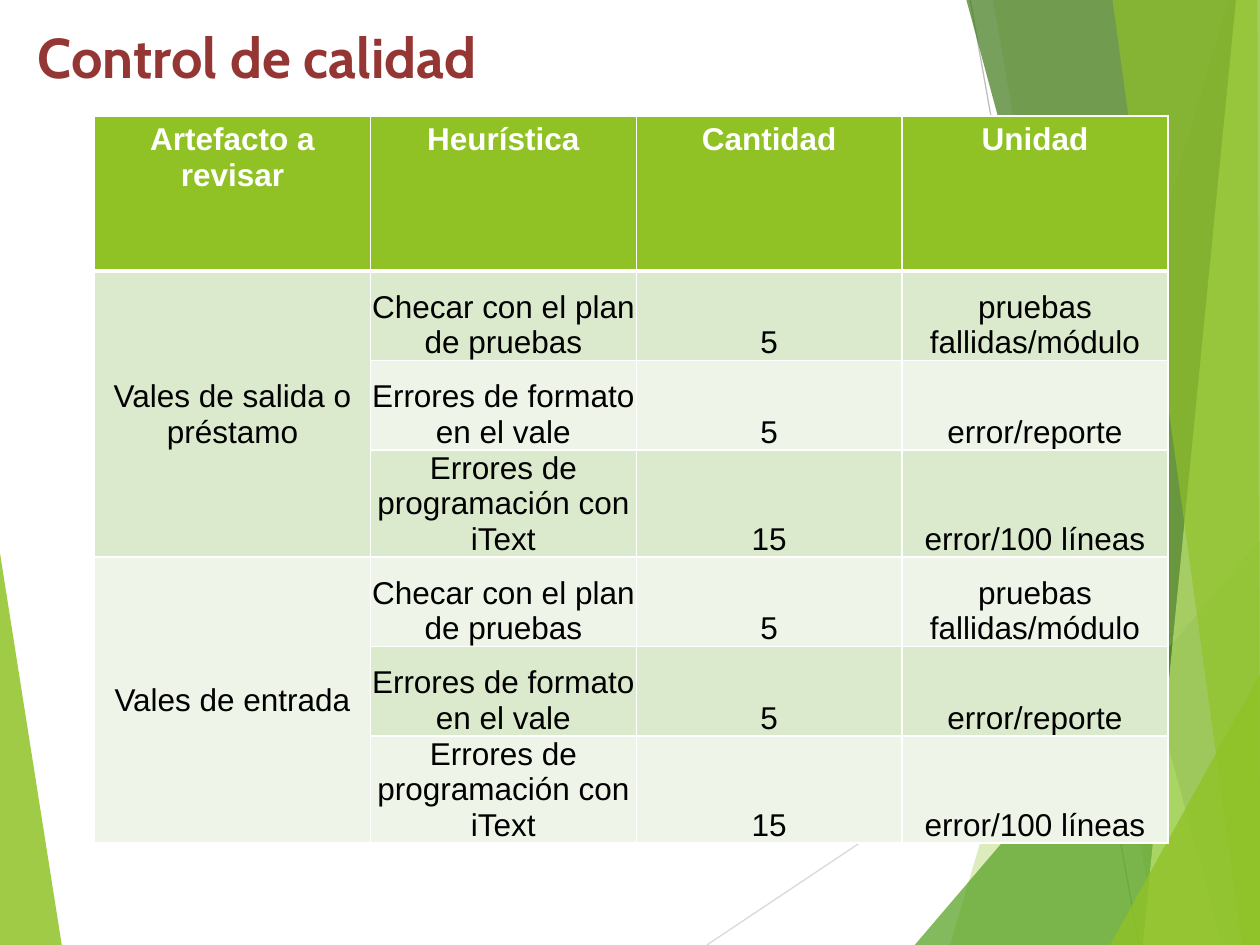
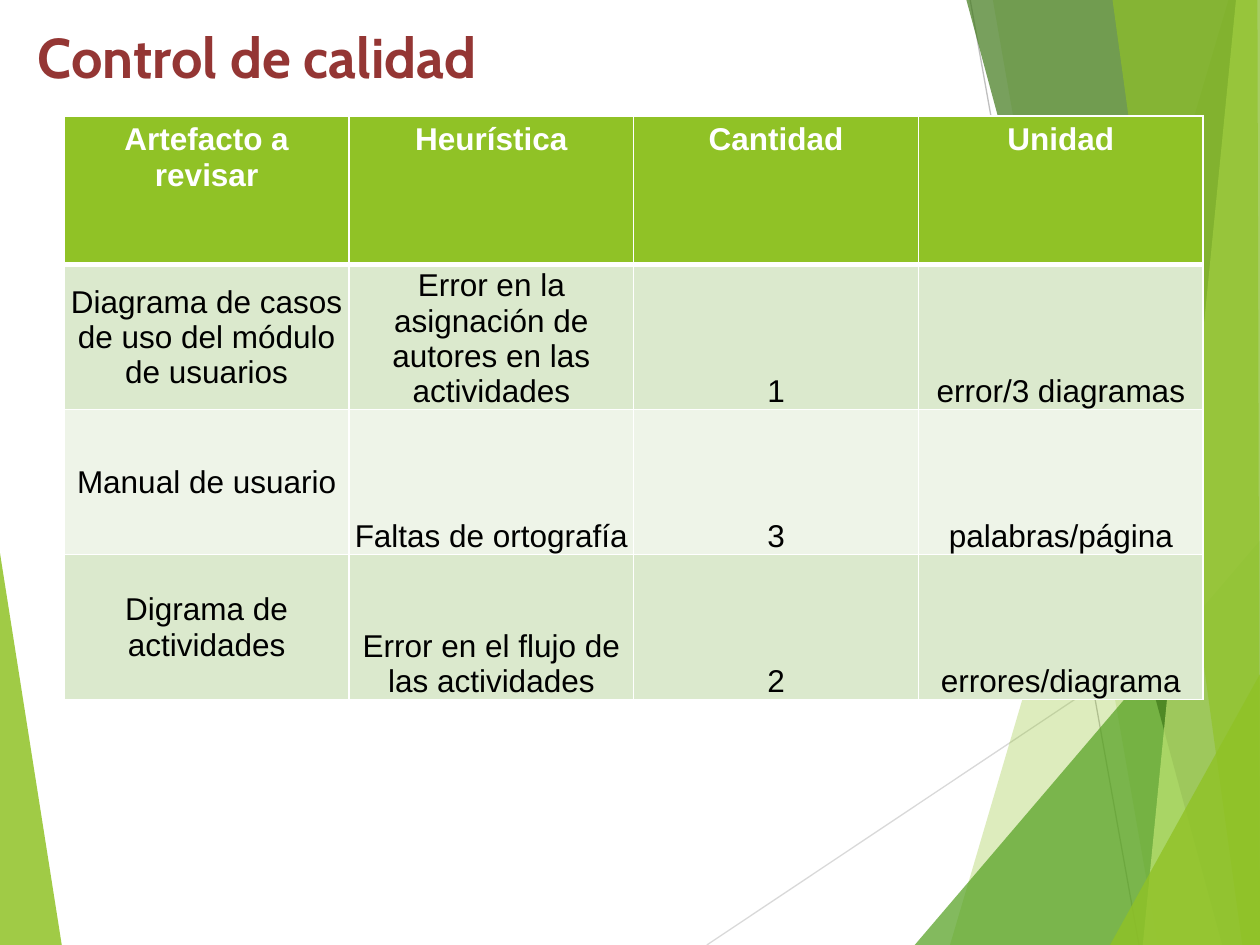
from lxml.etree import SubElement
from pptx import Presentation
from pptx.dml.color import RGBColor
from pptx.enum.shapes import MSO_CONNECTOR as Connector
from pptx.enum.text import MSO_ANCHOR as Anchor, PP_ALIGN as Align
from pptx.oxml.ns import qn
from pptx.util import Inches, Pt

WHITE = RGBColor(0xFF, 0xFF, 0xFF)
BLACK = RGBColor(0, 0, 0)
MAROON = RGBColor(0x94, 0x36, 0x34)
LIME = RGBColor(0x90, 0xC2, 0x26)
GREEN = RGBColor(0x54, 0xA0, 0x21)
DARK_GREEN = RGBColor(0x3F, 0x78, 0x19)
PALE_LIME = RGBColor(0xC0, 0xE4, 0x74)
BANDS = (RGBColor(0xDB, 0xE9, 0xCD), RGBColor(0xEE, 0xF4, 0xE8))
LIGHT_GREY = RGBColor(0xD9, 0xD9, 0xD9)
GREY = RGBColor(0xBF, 0xBF, 0xBF)

RAYS = [
    ((5.61, 7.5), (10, 4.57), LIGHT_GREY),
    ((7.7, 0), (9.04, 7.5), GREY),
]
SHARDS = [
    ([(9.75, 0), (7.54, 7.5), (10, 7.5), (10, 0)], LIME, 30),
    ([(7.88, 0), (9.19, 7.5), (10, 7.5), (10, 0)], LIME, 20),
    ([(7.26, 7.5), (10, 4.29), (10, 7.5)], GREEN, 72),
    ([(7.67, 0), (9.7, 7.5), (10, 7.5), (10, 0)], DARK_GREEN, 70),
    ([(9.81, 0), (9.07, 7.5), (10, 7.5), (10, 0)], PALE_LIME, 70),
    ([(8.83, 0), (9.86, 7.5), (10, 7.5), (9.98, 0)], LIME, 65),
    ([(8.81, 7.5), (10, 5.35), (10, 7.5)], LIME, 80),
]
LEFT_SHARD = ([(0, 4.39), (0.49, 7.5), (0, 7.5)], LIME, 85)

TITLE = "Control de calidad"
HEADINGS = ("Artefacto a revisar", "Heurística", "Cantidad", "Unidad")
VOUCHER_CHECKS = [
    ("Checar con el plan de pruebas", "5", "pruebas fallidas/módulo"),
    ("Errores de formato en el vale", "5", "error/reporte"),
    ("Errores de programación con iText", "15", "error/100 líneas"),
]
VOUCHERS = [
    ("Vales de salida o préstamo", VOUCHER_CHECKS),
    ("Vales de entrada", VOUCHER_CHECKS),
]
DOCUMENTS = [
    ("Diagrama de casos de uso del módulo de usuarios",
     [("Error en la asignación de autores en las actividades", "1", "error/3 diagramas")]),
    ("Manual de usuario", [("Faltas de ortografía", "3", "palabras/página")]),
    ("Digrama de actividades",
     [("Error en el flujo de las actividades", "2", "errores/diagrama")]),
]


def add_span(para, text, font, size, color, bold):
    span = para.add_run()
    span.text = text
    span.font.name = font
    span.font.size = Pt(size)
    span.font.bold = bold
    span.font.color.rgb = color


def add_shard(page, points, color, opacity):
    corners = [(Inches(x), Inches(y)) for x, y in points]
    builder = page.shapes.build_freeform(*corners[0], scale=1.0)
    builder.add_line_segments(corners[1:], close=True)
    shard = builder.convert_to_shape()
    shard.shadow.inherit = False
    shard.fill.solid()
    shard.fill.fore_color.rgb = color
    shard.line.fill.background()
    tint = shard.element.spPr.find(qn("a:solidFill"))[0]
    SubElement(tint, qn("a:alpha"), val=str(opacity * 1000))


def add_ray(page, start, end, color):
    ends = [Inches(length) for length in (*start, *end)]
    ray = page.shapes.add_connector(Connector.STRAIGHT, *ends)
    ray.line.color.rgb = color
    ray.line.width = Pt(0.75)
    SubElement(ray.element.spPr, qn("a:effectLst"))


def add_backdrop(page):
    add_shard(page, *LEFT_SHARD)
    for ray in RAYS:
        add_ray(page, *ray)
    for shard in SHARDS:
        add_shard(page, *shard)


def add_title(page):
    box = page.shapes.add_textbox(Inches(0.2), Inches(0.13), Inches(9.21), Inches(0.86))
    box.text_frame.word_wrap = True
    add_span(box.text_frame.paragraphs[0], TITLE, "Cabin", 32, MAROON, True)


def style_cell(cell, fill, top=1, bottom=1):
    properties = cell._tc.get_or_add_tcPr()
    for side, width in (("L", 1), ("R", 1), ("T", top), ("B", bottom)):
        border = SubElement(properties, qn(f"a:ln{side}"), w=str(Pt(width)))
        solid = SubElement(border, qn("a:solidFill"))
        SubElement(solid, qn("a:srgbClr"), val=str(WHITE))
    cell.fill.solid()
    cell.fill.fore_color.rgb = fill


def write_cell(cell, text, color, bold):
    para = cell.text_frame.paragraphs[0]
    para.alignment = Align.CENTER
    add_span(para, text, "Arial", 18, color, bold)


def write_body_cell(cell, text, anchor):
    cell.margin_left = cell.margin_right = cell.margin_top = Inches(0.01)
    cell.margin_bottom = 0
    cell.vertical_anchor = anchor
    write_cell(cell, text, BLACK, False)


def add_review_table(page, left, widths, header_height, row_height, artifacts):
    body_rows = sum(len(checks) for _, checks in artifacts)
    height = header_height + body_rows * row_height
    table = page.shapes.add_table(
        body_rows + 1, len(HEADINGS), Inches(left), Inches(0.92),
        Inches(sum(widths)), Inches(height)).table
    for column, width in zip(table.columns, widths):
        column.width = Inches(width)
    for index, row in enumerate(table.rows):
        row.height = Inches(row_height if index else header_height)
    for cell, heading in zip(table.rows[0].cells, HEADINGS):
        style_cell(cell, LIME, bottom=3)
        write_cell(cell, heading, WHITE, True)

    first = 1
    for artifact, checks in artifacts:
        for index, check in enumerate(checks, first):
            for column, cell in enumerate(table.rows[index].cells):
                band_row = index if column else first
                style_cell(cell, BANDS[(band_row - 1) % 2], top=3 if index == 1 else 1)
                if column:
                    write_body_cell(cell, check[column - 1], Anchor.BOTTOM)
        last = first + len(checks) - 1
        artifact_cell = table.cell(first, 0)
        if last > first:
            artifact_cell.merge(table.cell(last, 0))
        write_body_cell(artifact_cell, artifact, Anchor.MIDDLE)
        first = last + 1


def add_review_page(deck, *table_layout):
    page = deck.slides.add_slide(deck.slide_layouts[6])
    add_backdrop(page)
    add_review_table(page, *table_layout)
    add_title(page)


def main():
    deck = Presentation()
    deck.slide_width = Inches(10)
    deck.slide_height = Inches(7.5)
    add_review_page(deck, 0.75, [2.19] + [2.11] * 3, 1.23, 0.71, VOUCHERS)
    add_review_page(deck, 0.51, [2.26] * 4, 1.18, 1.15, DOCUMENTS)
    deck.save("out.pptx")


if __name__ == "__main__":
    main()
